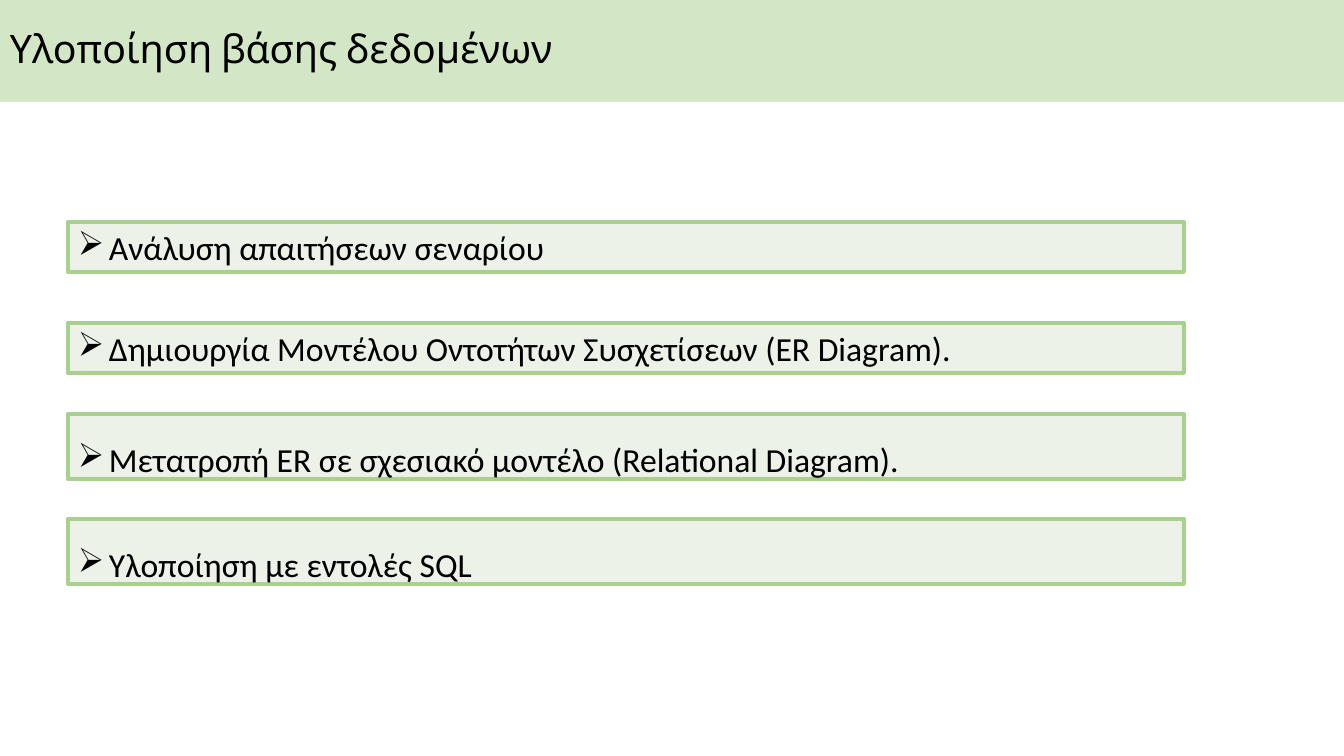
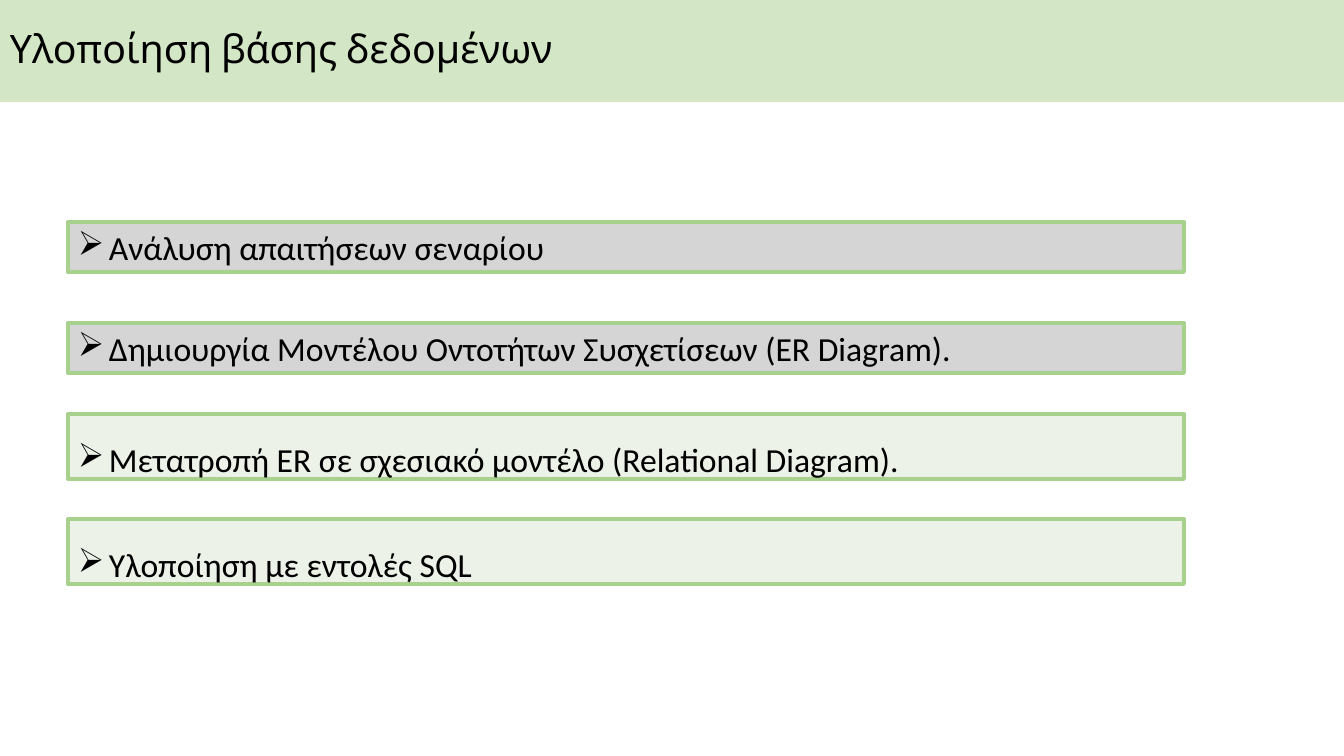
"""Build two slides that list the steps of a database implementation and mark progress."""
from dataclasses import dataclass

from lxml.etree import SubElement
from pptx import Presentation
from pptx.dml.color import RGBColor
from pptx.enum.text import MSO_ANCHOR, PP_ALIGN
from pptx.oxml.ns import qn
from pptx.util import Pt

TITLE = "Υλοποίηση βάσης δεδομένων"
STEPS = [
    ("Ανάλυση απαιτήσεων σεναρίου", 222, "compact"),
    ("Δημιουργία Μοντέλου Οντοτήτων Συσχετίσεων (ER Diagram).", 323, "compact"),
    ("Μετατροπή ER σε σχεσιακό μοντέλο (Relational Diagram).", 414, "spaced"),
    ("Υλοποίηση με εντολές SQL", 519, "spaced"),
]
COMPLETED_STEPS = [0, 2]

SLIDE_WIDTH, SLIDE_HEIGHT = 1344, 756
BAND_HEIGHT = 102
STEP_LEFT, STEP_WIDTH, STEP_INDENT = 68, 1116, 31
STEP_HEIGHTS = {"compact": 50, "spaced": 65}
PARAGRAPH_FORMATS = {
    "title": {"line_spacing": 0.9},
    "compact": {"alignment": PP_ALIGN.LEFT},
    "spaced": {"alignment": PP_ALIGN.JUSTIFY, "line_spacing": 1.5},
}


@dataclass(frozen=True)
class Theme:
    band: str = "C5E0B4"
    pending: str = "D4E8C7"
    completed: str = "808080"
    border: str = "A9D18E"
    text: str = "000000"
    shadow: str = "000000"
    band_opacity: int = 75
    step_opacity: int = 28
    shadow_opacity: int = 12
    border_width: float = 2.75
    title_font: str = "Cabin"
    title_size: int = 28
    step_font: str = "Calibri"
    step_size: int = 24


THEME = Theme()


def px(length):
    return round(length * 914400 / 100.8)


def add_opacity(color_element, percent):
    SubElement(color_element, qn("a:alpha"), val=str(percent * 1000))


def add_filled_box(slide, bounds, color, opacity):
    shape = slide.shapes.add_textbox(*map(px, bounds))
    shape.text_frame.word_wrap = True
    shape.fill.solid()
    shape.fill.fore_color.rgb = RGBColor.from_string(color)
    add_opacity(shape.element.spPr.find(".//" + qn("a:srgbClr")), opacity)
    return shape


def add_bullet(paragraph):
    properties = paragraph._p.get_or_add_pPr()
    properties.set("marL", str(px(STEP_INDENT)))
    properties.set("indent", str(-px(STEP_INDENT)))
    SubElement(properties, qn("a:buChar"), char="➢")


def write_text(paragraph, text, style, font_name, font_size):
    for name, value in PARAGRAPH_FORMATS[style].items():
        setattr(paragraph, name, value)
    run = paragraph.add_run()
    run.text = text
    for name, value in {"name": font_name, "size": Pt(font_size)}.items():
        setattr(run.font, name, value)
    run.font.color.rgb = RGBColor.from_string(THEME.text)


def add_shadow(shape):
    effects = SubElement(shape.element.spPr, qn("a:effectLst"))
    shadow = SubElement(effects, qn("a:outerShdw"), blurRad="0", dist="0",
                        dir="5400000", rotWithShape="0")
    add_opacity(SubElement(shadow, qn("a:srgbClr"), val=THEME.shadow), THEME.shadow_opacity)


def add_title(slide):
    band = add_filled_box(slide, (0, 0, SLIDE_WIDTH, BAND_HEIGHT), THEME.band, THEME.band_opacity)
    band.text_frame.vertical_anchor = MSO_ANCHOR.MIDDLE
    write_text(band.text_frame.paragraphs[0], TITLE, "title", THEME.title_font, THEME.title_size)


def add_step(slide, text, top, style, color):
    bounds = (STEP_LEFT, top, STEP_WIDTH, STEP_HEIGHTS[style])
    box = add_filled_box(slide, bounds, color, THEME.step_opacity)
    box.line.color.rgb = RGBColor.from_string(THEME.border)
    box.line.width = Pt(THEME.border_width)
    add_shadow(box)
    paragraph = box.text_frame.paragraphs[0]
    add_bullet(paragraph)
    write_text(paragraph, text, style, THEME.step_font, THEME.step_size)


def main():
    presentation = Presentation()
    presentation.slide_width = px(SLIDE_WIDTH)
    presentation.slide_height = px(SLIDE_HEIGHT)
    for completed_count in COMPLETED_STEPS:
        slide = presentation.slides.add_slide(presentation.slide_layouts[6])
        add_title(slide)
        for index, (text, top, style) in enumerate(STEPS):
            color = THEME.completed if index < completed_count else THEME.pending
            add_step(slide, text, top, style, color)
    presentation.save("out.pptx")


if __name__ == "__main__":
    main()
